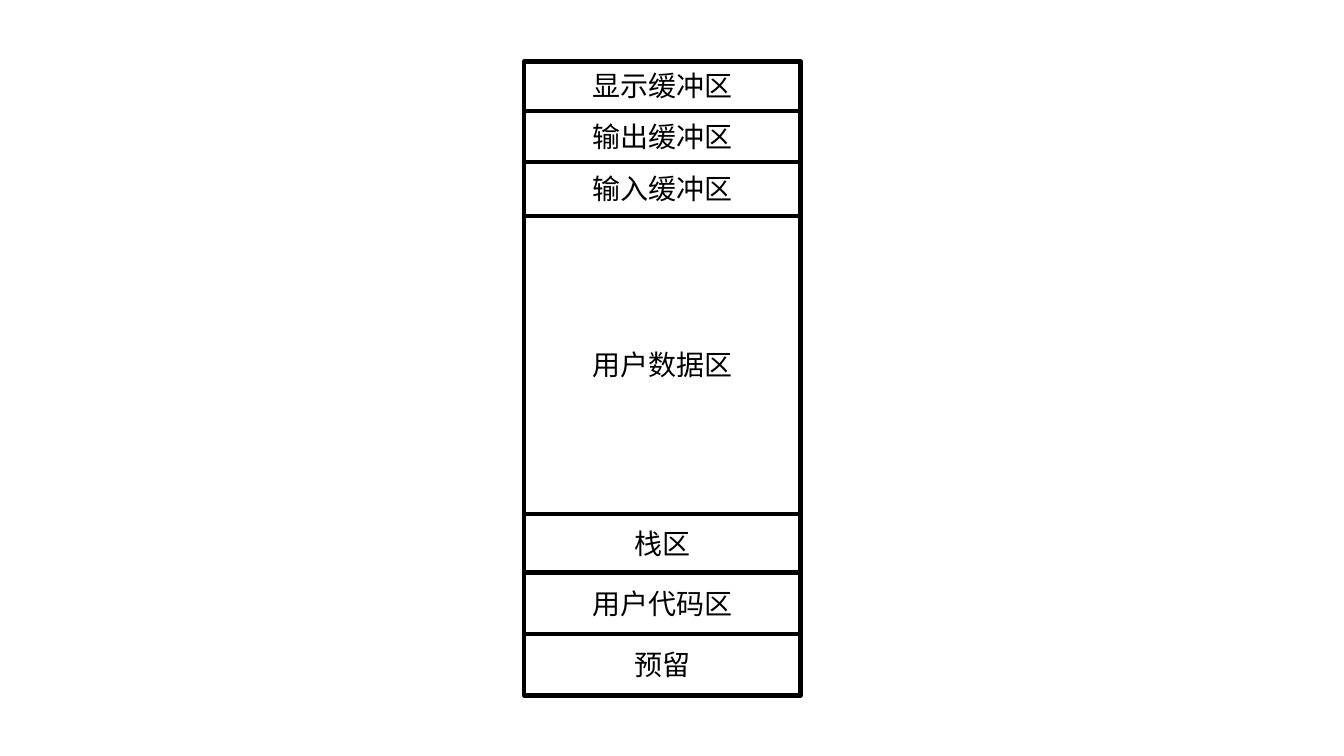
"""Draw a memory map as one column of stacked regions."""
from lxml import etree
from pptx import Presentation
from pptx import util as u
from pptx.dml.color import RGBColor
from pptx.enum import shapes, text
from pptx.oxml.ns import qn

REGIONS = [
    ("显示缓冲区", 0.49),
    ("输出缓冲区", 0.51),
    ("输入缓冲区", 0.53),
    ("用户数据区", 2.96),
    ("栈区", 0.58),
    ("用户代码区", 0.61),
    ("预留", 0.61),
]
COLORS = {"ink": "000000"}
FONT, SIZE = "Noto Sans CJK SC", 20
SLIDE_W, SLIDE_H = 13.33, 7.5
LEFT, TOP, WIDTH = 5.2, 0.61, 2.74
LABEL_H, CHAR_W, INSET = 0.44, 0.28, 0.1
INK = RGBColor.from_string(COLORS["ink"])


def set_line(s):
    s.line.color.rgb = INK
    s.line.width = u.Pt(3)


def add_frame(slide, height):
    s = slide.shapes.add_shape(
        shapes.MSO_SHAPE.RECTANGLE, *map(u.Inches, (LEFT, TOP, WIDTH, height)))
    s.shadow.inherit = False
    s.fill.background()
    set_line(s)


def add_divider(slide, y):
    s = slide.shapes.add_connector(
        shapes.MSO_CONNECTOR.STRAIGHT, *map(u.Inches, (LEFT, y, LEFT + WIDTH, y)))
    set_line(s)
    etree.SubElement(s._element.spPr, qn("a:effectLst"))


def add_label(slide, label, middle):
    width = len(label) * CHAR_W + 2 * INSET
    box = (LEFT + (WIDTH - width) / 2, middle - LABEL_H / 2, width, LABEL_H)
    tf = slide.shapes.add_textbox(*map(u.Inches, box)).text_frame
    tf.text = label
    tf.word_wrap = False
    tf.auto_size = text.MSO_AUTO_SIZE.SHAPE_TO_FIT_TEXT
    p = tf.paragraphs[0]
    p.alignment = text.PP_ALIGN.CENTER
    r = p.runs[0]
    r.font.size = u.Pt(SIZE)
    r.font.color.rgb = INK
    r.font.name = FONT
    etree.SubElement(r.font._element, qn("a:ea"), typeface=FONT)


def main():
    prs = Presentation()
    prs.slide_width, prs.slide_height = u.Inches(SLIDE_W), u.Inches(SLIDE_H)
    slide = prs.slides.add_slide(prs.slide_layouts[6])
    add_frame(slide, sum(height for _, height in REGIONS))
    y = TOP
    for i, (label, height) in enumerate(REGIONS):
        if i:
            add_divider(slide, y)
        add_label(slide, label, y + height / 2)
        y += height
    prs.save("out.pptx")


if __name__ == "__main__":
    main()
